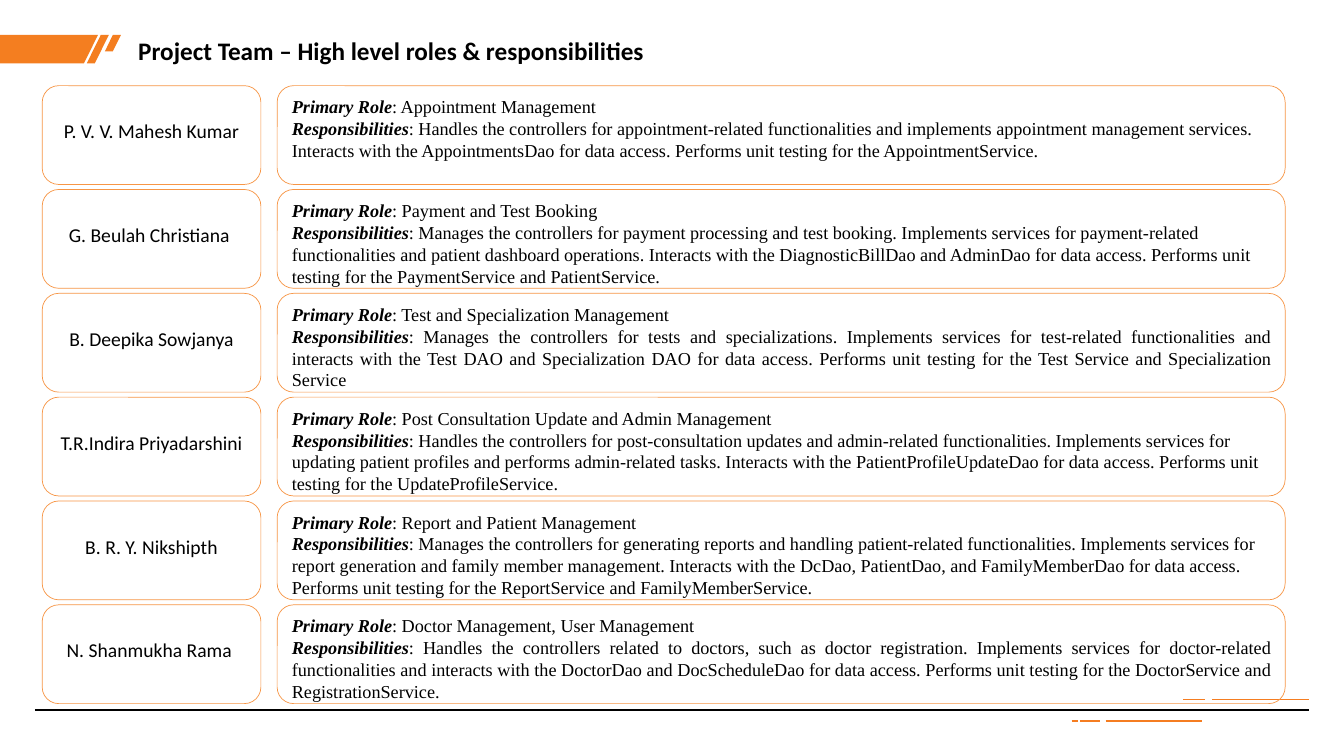
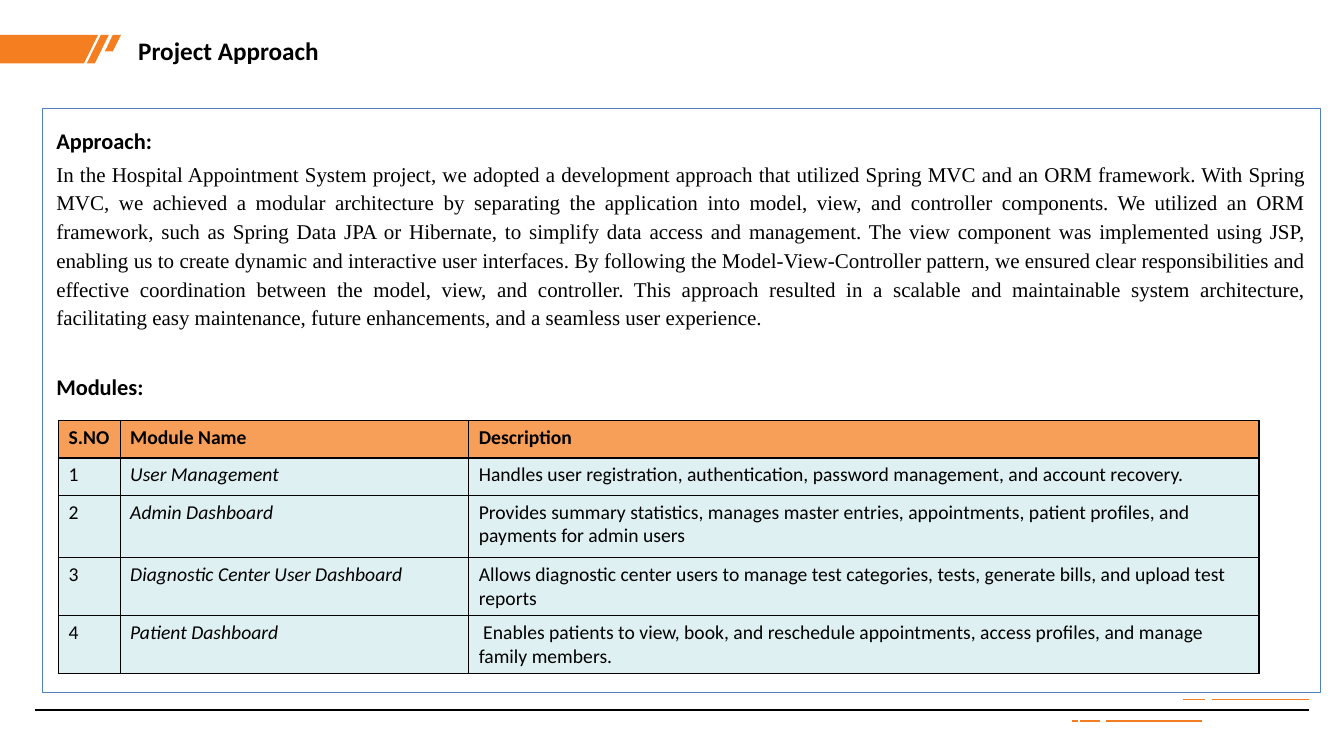
from lxml import etree
from pptx import Presentation
from pptx.dml.color import RGBColor
from pptx.enum.shapes import MSO_CONNECTOR, MSO_SHAPE
from pptx.enum.text import MSO_ANCHOR, PP_ALIGN
from pptx.oxml.ns import qn
from pptx.util import Pt

LEFT, MID, FULL = PP_ALIGN.LEFT, PP_ALIGN.CENTER, PP_ALIGN.JUSTIFY
TOP, CENTER = MSO_ANCHOR.TOP, MSO_ANCHOR.MIDDLE
RECT, ROUND = MSO_SHAPE.RECTANGLE, MSO_SHAPE.ROUNDED_RECTANGLE
LINE = MSO_CONNECTOR.STRAIGHT

SANS, SERIF = "Calibri", "Times New Roman"
BLACK, FLAG, DASH = "000000", "F47E20", "F57D21"
CARD, BOX, HEAD, CELL = "F79646", "4F81BD", "F79E58", "DEF0F1"

# Name, alignment, role, duties
TEAM = [
    ("P. V. V. Mahesh Kumar", LEFT, "Appointment Management",
     "Handles the controllers for appointment-related functionalities and "
     "implements appointment management services. Interacts with the "
     "AppointmentsDao for data access. Performs unit testing for the "
     "AppointmentService."),
    ("G. Beulah Christiana ", LEFT, "Payment and Test Booking",
     "Manages the controllers for payment processing and test booking. "
     "Implements services for payment-related functionalities and patient "
     "dashboard operations. Interacts with the DiagnosticBillDao and AdminDao "
     "for data access. Performs unit testing for the PaymentService and "
     "PatientService."),
    ("B. Deepika Sowjanya", FULL, "Test and Specialization Management",
     "Manages the controllers for tests and specializations. Implements "
     "services for test-related functionalities and interacts with the Test "
     "DAO and Specialization DAO for data access. Performs unit testing for "
     "the Test Service and Specialization Service"),
    ("T.R.Indira Priyadarshini", LEFT,
     "Post Consultation Update and Admin Management",
     "Handles the controllers for post-consultation updates and admin-related "
     "functionalities. Implements services for updating patient profiles and "
     "performs admin-related tasks. Interacts with the PatientProfileUpdateDao "
     "for data access. Performs unit testing for the UpdateProfileService."),
    ("B. R. Y. Nikshipth", LEFT, "Report and Patient Management",
     "Manages the controllers for generating reports and handling "
     "patient-related functionalities. Implements services for report "
     "generation and family member management. Interacts with the DcDao, "
     "PatientDao, and FamilyMemberDao for data access. Performs unit testing "
     "for the ReportService and FamilyMemberService."),
    ("N. Shanmukha Rama ", FULL, "Doctor Management, User Management",
     "Handles the controllers related to doctors, such as doctor registration. "
     "Implements services for doctor-related functionalities and interacts "
     "with the DoctorDao and DocScheduleDao for data access. Performs unit "
     "testing for the DoctorService and RegistrationService."),
]

PLAN = (
    "In the Hospital Appointment System project, we adopted a development "
    "approach that utilized Spring MVC and an ORM framework. With Spring MVC, "
    "we achieved a modular architecture by separating the application into "
    "model, view, and controller components. We utilized an ORM framework, "
    "such as Spring Data JPA or Hibernate, to simplify data access and "
    "management. The view component was implemented using JSP, enabling us to "
    "create dynamic and interactive user interfaces. By following the "
    "Model-View-Controller pattern, we ensured clear responsibilities and "
    "effective coordination between the model, view, and controller. This "
    "approach resulted in a scalable and maintainable system architecture, "
    "facilitating easy maintenance, future enhancements, and a seamless user "
    "experience.")

UNITS = [
    ("S.NO", "Module Name", "Description"),
    ("1", "User Management",
     "Handles user registration, authentication, password management, and "
     "account recovery."),
    ("2", "Admin Dashboard",
     "Provides summary statistics, manages master entries, appointments, "
     "patient profiles, and payments for admin users"),
    ("3", "Diagnostic Center User Dashboard",
     "Allows diagnostic center users to manage test categories, tests, "
     "generate bills, and upload test reports"),
    ("4", "Patient Dashboard",
     " Enables patients to view, book, and reschedule appointments, access "
     "profiles, and manage family members."),
]


def rgb(code):
    return RGBColor.from_string(code)


def style(run, size, face=SANS, bold=False, slant=False):
    font = run.font
    font.size, font.name = Pt(size), face
    font.bold, font.italic = bold, slant
    font.color.rgb = rgb(BLACK)


def panel(slide, kind, box, color, width):
    """Add an unfilled outlined shape with text starting at its top."""
    shape = slide.shapes.add_shape(kind, *map(Pt, box))
    shape.shadow.inherit = False
    shape.fill.background()
    shape.line.color.rgb = rgb(color)
    shape.line.width = Pt(width)
    shape.text_frame.word_wrap = True
    shape.text_frame.vertical_anchor = TOP
    return shape


def flag(slide):
    """Draw the slanted title band."""
    parts = [
        [(70, 25), (0, 25), (0, 45.3), (60, 45.3)],
        [(77.8, 25), (72, 25), (62, 45.3), (67.7, 45.3)],
        [(86.4, 25), (80.6, 25), (75, 36.7), (80.6, 36.7)],
    ]
    pen = None
    for part in parts:
        start, *rest = [(Pt(x), Pt(y)) for x, y in part]
        if pen is None:
            pen = slide.shapes.build_freeform(*start)
        else:
            pen.move_to(*start)
        pen.add_line_segments(rest, close=True)
    shape = pen.convert_to_shape()
    shape.shadow.inherit = False
    shape.fill.solid()
    shape.fill.fore_color.rgb = rgb(FLAG)
    shape.line.fill.background()
    return shape


def rule(slide, left, right, y, color):
    line = slide.shapes.add_connector(LINE, Pt(left), Pt(y), Pt(right), Pt(y))
    line.line.color.rgb = rgb(color)
    line.line.width = Pt(1.25)
    props = line.element.find(qn("p:spPr"))
    etree.SubElement(props, qn("a:effectLst"))
    return line


def frame(layout, slide):
    """Draw the shared band and footer, then move them to the layout."""
    for hold in list(layout.placeholders):
        if hold.placeholder_format.idx:
            hold.element.getparent().remove(hold.element)
    parts = [flag(slide), rule(slide, 25, 934.8, 506.9, BLACK)]
    for left, right, y in [(866, 934.8, 499.7), (845.3, 861, 499.7),
                           (789.8, 858.5, 514.8), (771.8, 785.5, 514.8),
                           (765.4, 769.7, 514.8)]:
        parts.append(rule(slide, left, right, y, DASH))
    for part in parts:
        layout.shapes.element.append(part.element)


def title(slide, text):
    head = slide.shapes.title
    head.left, head.top, head.width, head.height = map(
        Pt, (91.5, 18, 518.5, 36.5))
    head.text_frame.text = text
    head.text_frame.vertical_anchor = CENTER
    line = head.text_frame.paragraphs[0]
    line.alignment = LEFT
    style(line.runs[0], 18, bold=True)


def member(slide, box, name, align, role, duties):
    """Place one person's name card and role card side by side."""
    left, top, width, height = box
    side, gap = 156.2, 11.6
    # Name card
    body = panel(slide, ROUND, (left, top, side, height), CARD, 0.5).text_frame
    body.margin_top = Pt(20.5)
    body.text = name
    body.paragraphs[0].alignment = MID
    style(body.paragraphs[0].runs[0], 14)
    # Role card
    area = (left + side + gap, top, width - side - gap, height)
    body = panel(slide, ROUND, area, CARD, 0.5).text_frame
    body.add_paragraph()
    pairs = [("Primary Role", role), ("Responsibilities", duties)]
    for line, (label, text) in zip(body.paragraphs, pairs):
        line.alignment = align
        line.text = label
        line.add_run().text = ": " + text
        style(line.runs[0], 13, SERIF, True, True)
        style(line.runs[1], 13, SERIF)


def team(slide, box):
    left, top, width, height = box
    gap = 3.6
    tall = (height + gap) / len(TEAM) - gap
    for i, row in enumerate(TEAM):
        member(slide, (left, top + i * (tall + gap), width, tall), *row)


def prose(slide, box):
    """Place the outlined text box with its two headings."""
    body = panel(slide, RECT, box, BOX, 0.75).text_frame
    body.margin_left = body.margin_right = Pt(10)
    body.margin_top = body.margin_bottom = Pt(10)
    body.text = "\n".join(["Approach:", PLAN, "Modules:"])
    for line in body.paragraphs:
        line.alignment = FULL
        line.line_spacing = 1.14
        line.space_after = Pt(3)
        style(line.runs[0], 16, bold=True)
    style(body.paragraphs[1].runs[0], 15, SERIF)
    body.paragraphs[2].space_before = Pt(25)


def edge(cell):
    """Give a cell a thin black border on all sides."""
    props = cell._tc.get_or_add_tcPr()
    for side in ("lnL", "lnR", "lnT", "lnB"):
        line = etree.SubElement(props, qn("a:" + side), w=str(Pt(1)))
        fill = etree.SubElement(line, qn("a:solidFill"))
        etree.SubElement(fill, qn("a:srgbClr"), val=BLACK)


def units(slide, left, top):
    """Place the module table."""
    cols, rows = (44, 249, 564.5), (26.8, 26.8, 44.5, 41.5, 41.5)
    table = slide.shapes.add_table(
        len(rows), len(cols), Pt(left), Pt(top),
        Pt(sum(cols)), Pt(sum(rows))).table
    table.horz_banding = False
    for col, width in zip(table.columns, cols):
        col.width = Pt(width)
    for r, tall in enumerate(rows):
        table.rows[r].height = Pt(tall)
        for c, text in enumerate(UNITS[r]):
            cell = table.cell(r, c)
            edge(cell)
            cell.fill.solid()
            cell.fill.fore_color.rgb = rgb(CELL if r else HEAD)
            cell.text_frame.text = text
            run = cell.text_frame.paragraphs[0].runs[0]
            style(run, 14, bold=r == 0, slant=r > 0 and c == 1)


def approach(slide, box):
    left, top = box[:2]
    prose(slide, box)
    units(slide, left + 11.6, top + 222.5)


def main():
    deck = Presentation()
    deck.slide_width, deck.slide_height = Pt(960), Pt(540)
    layout = deck.slide_layouts[5]
    first, second = [deck.slides.add_slide(layout) for _ in range(2)]
    frame(layout, first)

    title(first, "Project Team – High level roles & responsibilities")
    team(first, (30.2, 61.2, 887.8, 441.4))

    title(second, "Project Approach")
    approach(second, (30.2, 77.8, 913, 417))
    deck.save("out.pptx")


if __name__ == "__main__":
    main()
